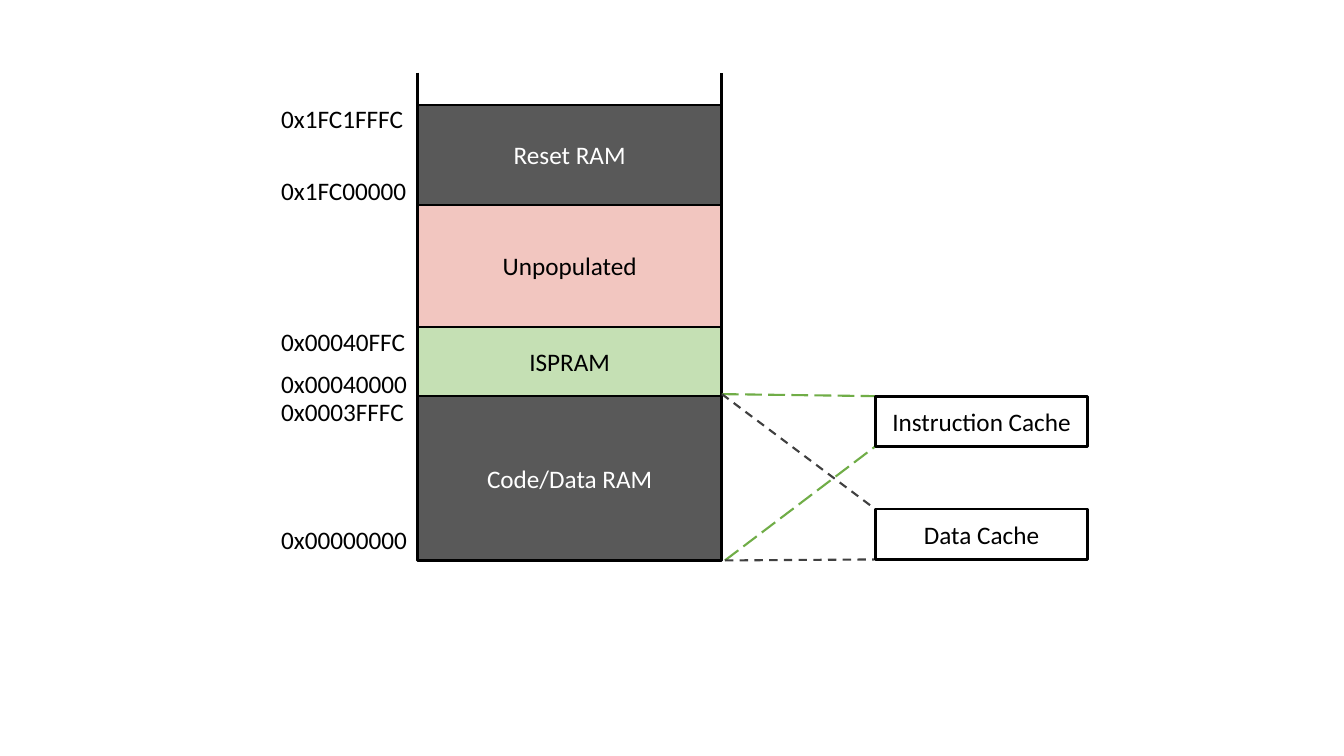
from pptx import Presentation
from pptx.dml.color import RGBColor
from pptx.enum.dml import MSO_LINE
from pptx.enum.shapes import MSO_CONNECTOR, MSO_SHAPE
from pptx.enum.text import MSO_ANCHOR, PP_ALIGN
from pptx.oxml.ns import qn
from pptx.util import Inches, Pt

RECT, STRAIGHT = MSO_SHAPE.RECTANGLE, MSO_CONNECTOR.STRAIGHT
DASH, LONG_DASH = MSO_LINE.DASH, MSO_LINE.LONG_DASH
LEFT, CENTER, MIDDLE = PP_ALIGN.LEFT, PP_ALIGN.CENTER, MSO_ANCHOR.MIDDLE
BLACK, WHITE, GRAY, BLUE = "000000", "FFFFFF", "595959", "43739E"
GREEN, DARK = "70AD47", "404040"

# Content: memory regions (name, top, fill, text colour), top to bottom
REGIONS = [
    ("Reset RAM", 1.04, GRAY, WHITE),
    ("Unpopulated", 2.03, "F2C6C0", BLACK),
    ("ISPRAM", 3.24, "C5E0B4", BLACK),
    ("Code/Data RAM", 3.93, GRAY, WHITE),
]
# Addresses (text, top of the label)
ADDRESSES = [
    ("0x1FC1FFFC", 0.98), ("0x1FC00000", 1.69), ("0x00040FFC", 3.19),
    ("0x00040000", 3.6), ("0x0003FFFC", 3.88), ("0x00000000", 5.15),
]
# Caches (name, top, colour and dash of the lines to it)
CACHES = [
    ("Instruction Cache", 3.93, GREEN, LONG_DASH),
    ("Data Cache", 5.05, DARK, DASH),
]

# Layout
MAP_X, MAP_W, MAP_TOP, MAP_BOTTOM = 4.14, 3.02, 0.72, 5.56
MAP_RIGHT = MAP_X + MAP_W
ADDRESS_X, ADDRESS_W, ADDRESS_H = 2.69, 1.46, 0.4
CACHE_X, CACHE_W, CACHE_H = 8.68, 2.11, 0.5


def rgb(color):
    return RGBColor.from_string(color)


def set_text(shape, text, color, align):
    tf = shape.text_frame
    tf.word_wrap = False
    tf.vertical_anchor = MIDDLE
    p = tf.paragraphs[0]
    p.text = text
    p.alignment = align
    p.font.name, p.font.size = "Calibri", Pt(18)
    p.font.color.rgb = rgb(color)


def style(shape, fill, line, width):
    shape.shadow.inherit = False
    if fill:
        shape.fill.solid()
        shape.fill.fore_color.rgb = rgb(fill)
    else:
        shape.fill.background()
    shape.line.color.rgb = rgb(line)
    shape.line.width = Pt(width)


def add_box(x, y, w, h, text, color, fill, line, width):
    sp = s.shapes.add_shape(RECT, Inches(x), Inches(y), Inches(w), Inches(h))
    style(sp, fill, line, width)
    set_text(sp, text, color, CENTER)


def add_line(x1, y1, x2, y2, color, dash=None):
    cx = s.shapes.add_connector(STRAIGHT, Inches(x1), Inches(y1), Inches(x2), Inches(y2))
    cx.line.color.rgb = rgb(color)
    cx.line.width = Pt(1.5)
    if dash:
        cx.line.dash_style = dash
    sp_pr = cx._element.spPr
    sp_pr.append(sp_pr.makeelement(qn("a:effectLst"), {}))


prs = Presentation()
prs.slide_width, prs.slide_height = Inches(13.33), Inches(7.5)
s = prs.slides.add_slide(prs.slide_layouts[6])

# Memory regions, each reaching down to the next
tops = [top for _, top, _, _ in REGIONS]
bottoms = tops[1:] + [MAP_BOTTOM]
for (name, top, fill, color), bottom in zip(REGIONS, bottoms):
    add_box(MAP_X, top, MAP_W, bottom - top, name, color, fill, BLUE, 1)

# Frame of the memory map, open at the top
outline = s.shapes.build_freeform(Inches(MAP_X), Inches(MAP_TOP))
outline.add_line_segments(
    [(Inches(x), Inches(y)) for x, y in
     [(MAP_X, MAP_BOTTOM), (MAP_RIGHT, MAP_BOTTOM), (MAP_RIGHT, MAP_TOP)]],
    close=False)
style(outline.convert_to_shape(), None, BLACK, 2)

# Borders between regions
for top in tops:
    add_line(MAP_X, top, MAP_RIGHT, top, BLACK)

# Address labels
for address, top in ADDRESSES:
    tb = s.shapes.add_textbox(Inches(ADDRESS_X), Inches(top),
                              Inches(ADDRESS_W), Inches(ADDRESS_H))
    set_text(tb, address, BLACK, LEFT)

# Caches, with lines from the ends of the Code/Data RAM
for name, top, color, dash in CACHES:
    add_line(MAP_RIGHT, tops[-1] - 0.02, CACHE_X, top, color, dash)
    add_line(MAP_RIGHT + 0.03, MAP_BOTTOM, CACHE_X, top + CACHE_H, color, dash)
    add_box(CACHE_X, top, CACHE_W, CACHE_H, name, BLACK, None, BLACK, 2)

prs.save("out.pptx")
